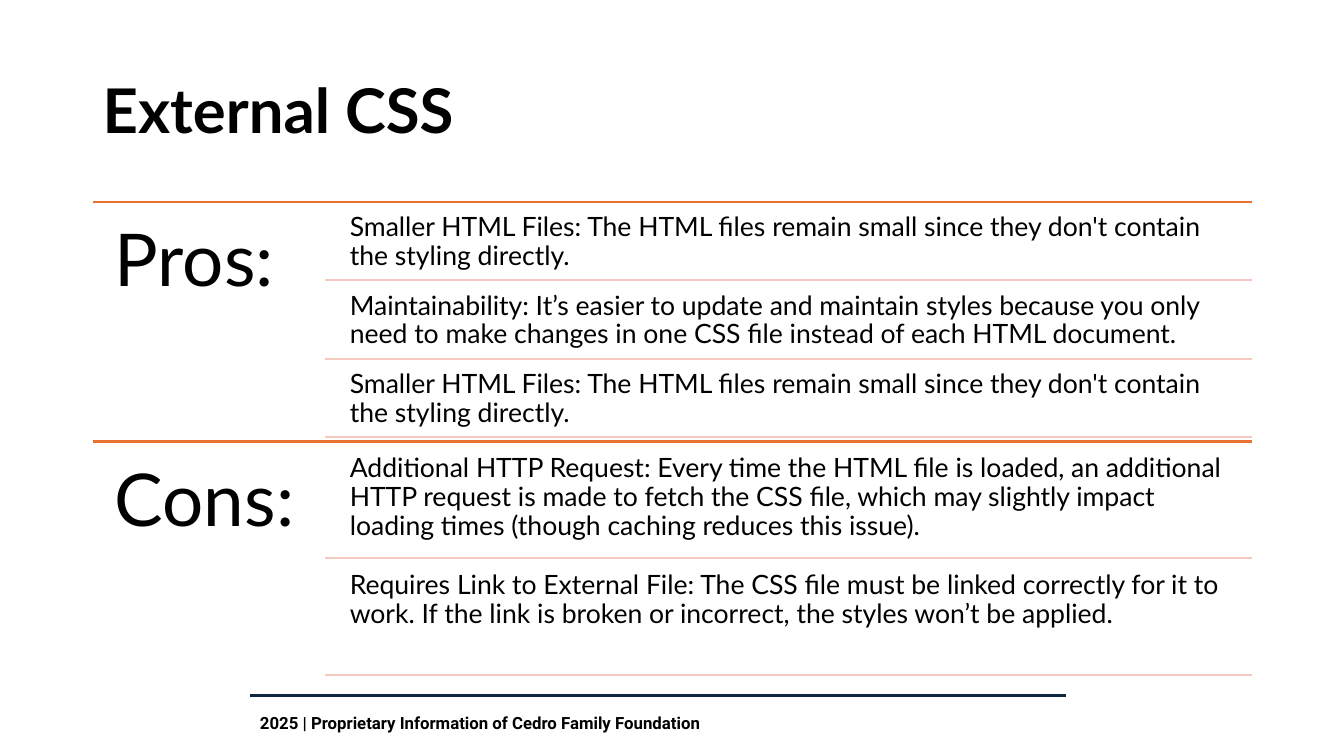
from dataclasses import dataclass

from pptx import Presentation
from pptx import util as u
from pptx.dml.color import RGBColor
from pptx.enum import shapes, text
from pptx.oxml.ns import qn
from pptx.slide import Slide
from lxml import etree

EMU_PER_PX = 9144  # 100 px to the inch

BLACK = RGBColor(0x00, 0x00, 0x00)
NAVY = RGBColor(0x0E, 0x28, 0x41)
ORANGE = RGBColor(0xE9, 0x71, 0x32)
PINK = RGBColor(0xF4, 0xC9, 0xBF)

LEFT, RIGHT = 92, 1242
HEADING_WIDTH, SECTION_HEIGHT = 230, 238
RULE_LEFT, POINT_LEFT = 322, 339


@dataclass(frozen=True)
class Section:
    heading: str
    top: int
    gap: int
    point_height: int
    points: tuple[str, ...]


SMALLER_FILES = (
    "Smaller HTML Files: The HTML files remain small since they don't contain "
    "the styling directly."
)
SECTIONS = (
    Section("Pros:", 200, 4, 74, (
        SMALLER_FILES,
        "Maintainability: It’s easier to update and maintain styles because you only "
        "need to make changes in one CSS file instead of each HTML document.",
        SMALLER_FILES,
    )),
    Section("Cons:", 438, 5, 111, (
        "Additional HTTP Request: Every time the HTML file is loaded, an additional "
        "HTTP request is made to fetch the CSS file, which may slightly impact "
        "loading times (though caching reduces this issue).",
        "Requires Link to External File: The CSS file must be linked correctly for it to "
        "work. If the link is broken or incorrect, the styles won’t be applied.",
    )),
)


def px(length: int) -> u.Emu:
    return u.Emu(length * EMU_PER_PX)


def add_text(slide: Slide, words: str, left: int, top: int, width: int, height: int, *,
             size: int, font: str = "Lato", bold: bool = False, inset: int = 8,
             inset_y: int | None = None, line_spacing: float = 0.9,
             anchor: text.MSO_ANCHOR = text.MSO_ANCHOR.TOP) -> None:
    box = slide.shapes.add_textbox(px(left), px(top), px(width), px(height))
    frame = box.text_frame
    frame.word_wrap = True
    frame.vertical_anchor = anchor
    frame.margin_left = frame.margin_right = px(inset)
    frame.margin_top = frame.margin_bottom = px(inset if inset_y is None else inset_y)
    paragraph = frame.paragraphs[0]
    paragraph.line_spacing = line_spacing
    run = paragraph.add_run()
    run.text = words
    run.font.name = font
    run.font.size = u.Pt(size)
    run.font.bold = bold
    run.font.color.rgb = BLACK


def add_rule(slide: Slide, left: int, right: int, y: int, color: RGBColor) -> None:
    rule = slide.shapes.add_connector(
        shapes.MSO_CONNECTOR.STRAIGHT, px(left), px(y), px(right), px(y))
    rule.line.color.rgb = color
    rule.line.width = u.Pt(1.5)
    etree.SubElement(rule.element.spPr, qn("a:effectLst"))


def add_section(slide: Slide, section: Section) -> None:
    add_rule(slide, LEFT, RIGHT, section.top, ORANGE)
    add_text(slide, section.heading, LEFT, section.top, HEADING_WIDTH, SECTION_HEIGHT,
             size=52, inset=22)
    pitch = section.point_height + section.gap
    for index, point in enumerate(section.points):
        top = section.top + section.gap + index * pitch
        add_text(slide, point, POINT_LEFT, top, RIGHT - POINT_LEFT,
                 section.point_height, size=19)
        add_rule(slide, RULE_LEFT, RIGHT, top + section.point_height, PINK)


def main() -> None:
    presentation = Presentation()
    presentation.slide_width = px(1333)
    presentation.slide_height = px(750)
    slide = presentation.slides.add_slide(presentation.slide_layouts[6])

    add_text(slide, "2025 | Proprietary Information of Cedro Family Foundation",
             248, 697, 809, 43, size=12, font="Roboto", bold=True, inset=10,
             line_spacing=1.0)
    add_rule(slide, 248, 1057, 690, NAVY)
    add_text(slide, "External CSS", LEFT, 40, RIGHT - LEFT, 145, size=44, bold=True,
             inset=10, inset_y=5, anchor=text.MSO_ANCHOR.MIDDLE)
    for section in SECTIONS:
        add_section(slide, section)

    presentation.save("out.pptx")


if __name__ == "__main__":
    main()
